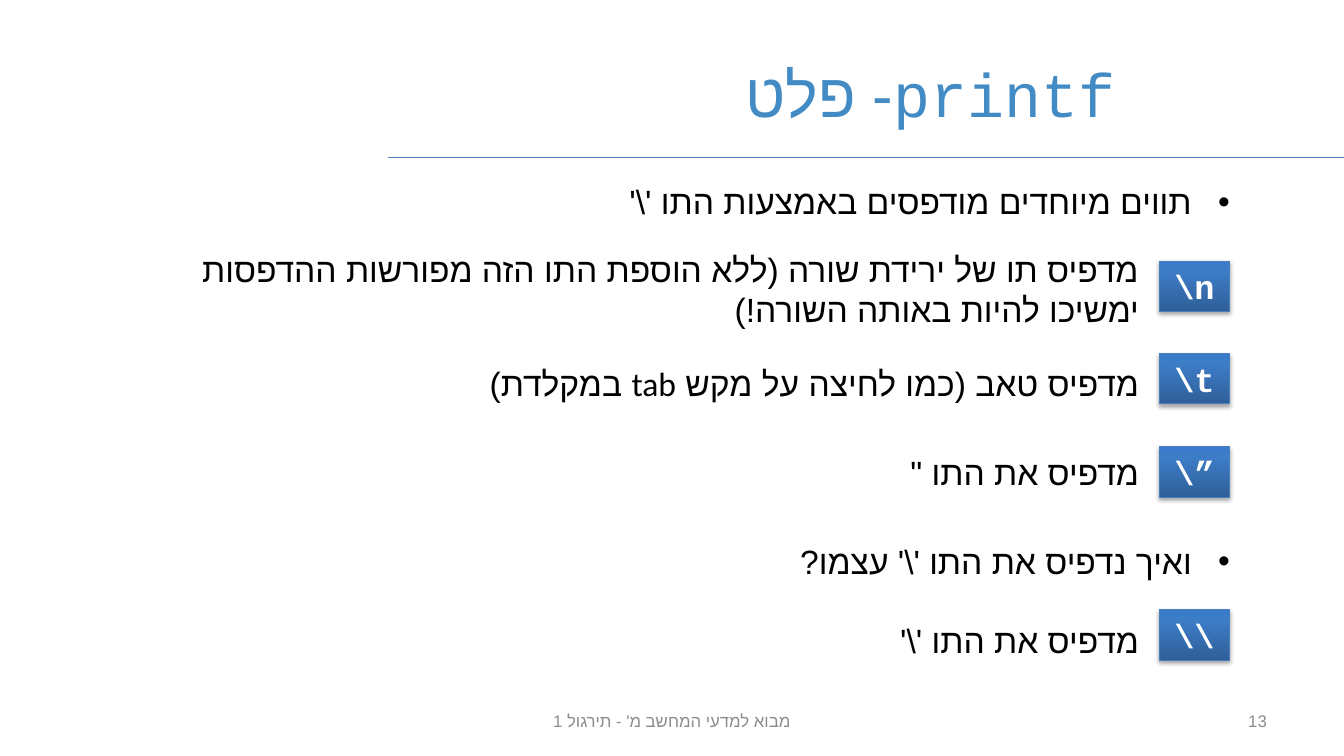
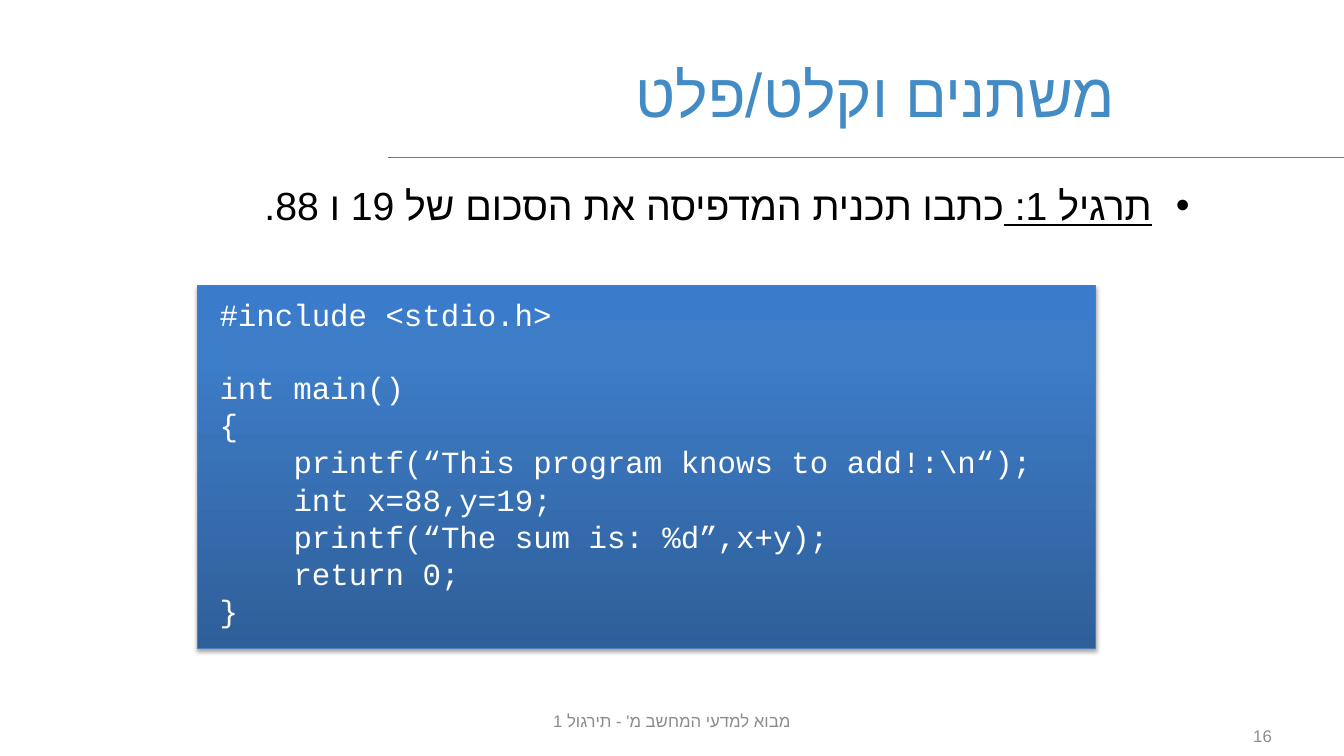
from dataclasses import dataclass

from lxml import etree
from pptx import Presentation
from pptx.dml.color import RGBColor
from pptx.enum.lang import MSO_LANGUAGE_ID
from pptx.enum.shapes import MSO_CONNECTOR, MSO_SHAPE
from pptx.enum.text import MSO_ANCHOR, PP_ALIGN
from pptx.oxml.ns import qn
from pptx.util import Inches, Pt

LEFT, MID, RIGHT = PP_ALIGN.LEFT, PP_ALIGN.CENTER, PP_ALIGN.RIGHT
TOP, CENTRE = MSO_ANCHOR.TOP, MSO_ANCHOR.MIDDLE
RECT, LINE = MSO_SHAPE.RECTANGLE, MSO_CONNECTOR.STRAIGHT
HEBREW = MSO_LANGUAGE_ID.HEBREW

# Grid: 160 columns by 90 rows, square cells
COLS, ROWS = 160, 90
CELL = Inches(7.5) / ROWS

# Shared look
SKY, EDGE, GREY, BLACK, WHITE = "438BC4", "4B7EBC", "8C8C8C", "000000", "FFFFFF"
STOPS = ((0, "2F5F99"), (80, "3D7CC7"), (100, "3A7CCB"))
SANS, PLAIN, MONO = "Arial", "Calibri", "Courier New"
HANG = 4.5
GAP = 0.25  # space before, as a share of the text size
STEP = 8.8  # one code indent: four characters
FOOT = "מבוא למדעי המחשב מ' - תירגול 1"


@dataclass
class Box:
    x: float
    y: float
    w: float
    h: float


@dataclass
class Run:
    text: str
    font: str = PLAIN
    under: bool = False


@dataclass
class Code:
    text: str
    level: int = 0
    skip: int = 0


@dataclass
class Key:
    mark: str
    row: float
    text: str
    top: float
    wide: float
    high: float = 5.9


BADGE = Box(138, 0, 8.4, 6)
NOTE_END = 136.8
KEYS = (
    Key("\\n", 31.1, "מדפיס תו של ירידת שורה (ללא הוספת התו הזה מפורשות "
        "ההדפסות ימשיכו להיות באותה השורה!)", 29, 121.4, 11.5),
    Key("\\t", 42.1, "מדפיס טאב (כמו לחיצה על מקש tab במקלדת)", 42.6, 82.1),
    Key("\\”", 53.2, "מדפיס את התו \"", 53.2, 56.8),
    Key("\\\\", 72.6, "מדפיס את התו '\\'", 73.2, 56.8),
)
CODE = (
    Code("#include <stdio.h>"),
    Code("int main()", skip=1),
    Code("{"),
    Code("printf(“This program knows to add!:\\n“);", 1),
    Code("int x=88,y=19;", 1),
    Code("printf(“The sum is: %d”,x+y);", 1),
    Code("return 0;", 1),
    Code("}"),
)


def cells(n: float) -> int:
    return round(n * CELL)


def place(box: Box) -> tuple:
    return cells(box.x), cells(box.y), cells(box.w), cells(box.h)


def tint(code: str) -> RGBColor:
    return RGBColor.from_string(code)


def node(up, tag: str, **attrs):
    return etree.SubElement(up, qn(tag), attrs)


def write(para, runs, size=24, color=BLACK, align=RIGHT, rtl=True,
          bold=False, before=0.0, bullet=False, indent=0.0):
    """Fill one paragraph with formatted runs."""
    para.alignment = align
    para.space_before = Pt(before)
    props = para._p.get_or_add_pPr()
    if rtl:
        props.set("rtl", "1")
    if bullet:
        props.set("marR", "0")
        props.set("marL", str(cells(HANG)))
        props.set("indent", str(-cells(HANG)))
        node(props, "a:buFont", typeface=SANS)
        node(props, "a:buChar", char="•")
    elif indent:
        props.set("marL", str(cells(indent)))
    for item in runs:
        run = para.add_run()
        run.text = item.text
        font = run.font
        font.name, font.size, font.bold = item.font, Pt(size), bold
        font.underline = item.under
        font.color.rgb = tint(color)
        face = item.font
        if rtl:
            font.language_id = HEBREW
            face = MONO if item.font == MONO else SANS
        node(font._element, "a:cs", typeface=face)


def label(slide, box: Box, runs, anchor=TOP, **fmt):
    frame = slide.shapes.add_textbox(*place(box)).text_frame
    frame.word_wrap = True
    frame.vertical_anchor = anchor
    write(frame.paragraphs[0], runs, **fmt)


def panel(slide, box: Box):
    """Draw a shaded blue box and return its text frame."""
    shape = slide.shapes.add_shape(RECT, *place(box))
    shape.shadow.inherit = False
    shape.fill.gradient()
    shape.fill.gradient_angle = 90
    stops = shape._element.spPr.find(".//" + qn("a:gsLst"))
    for old in list(stops):
        stops.remove(old)
    for pos, code in STOPS:
        node(node(stops, "a:gs", pos=str(pos * 1000)), "a:srgbClr", val=code)
    shape.line.color.rgb = tint(EDGE)
    shape.line.width = Pt(0.75)
    glow = node(shape._element.spPr.find(qn("a:effectLst")), "a:outerShdw",
                blurRad=str(Pt(3.1)), dist=str(Pt(1.8)), dir="5400000",
                rotWithShape="0")
    node(node(glow, "a:srgbClr", val=BLACK), "a:alpha", val="35000")
    frame = shape.text_frame
    frame.word_wrap = True
    frame.vertical_anchor = TOP
    return frame


def rule(slide, start: float, end: float, row: float = 18.7):
    line = slide.shapes.add_connector(
        LINE, cells(start), cells(row), cells(end), cells(row))
    line.line.color.rgb = tint(EDGE)
    line.line.width = Pt(0.75)
    node(line._element.spPr, "a:effectLst")


def point(slide, box: Box, runs, size: int = 24):
    label(slide, box, runs, size=size, before=size * GAP, bullet=True)


def base(deck, title, page: str, spot: Box):
    """Start a slide with its title, rules, footer and page number."""
    slide = deck.slides.add_slide(deck.slide_layouts[6])
    rule(slide, COLS, 46.2)
    rule(slide, 140, 54.7)
    label(slide, Box(48.1, 3.6, 85.9, 15), title, CENTRE, size=44, color=SKY)
    label(slide, spot, [Run(page)], CENTRE, size=12, color=GREY)
    label(slide, Box(54.7, 83.4, 50.6, 4.8), [Run(FOOT)], CENTRE,
          size=12, color=GREY, align=MID)
    return slide


def escapes(deck):
    slide = base(deck, [Run("printf", MONO), Run("- פלט", SANS)], "13",
                 Box(114.7, 83.4, 37.3, 4.8))
    for row, text in ((21, "תווים מיוחדים מודפסים באמצעות התו '\\'"),
                      (63.8, "ואיך נדפיס את התו '\\' עצמו?")):
        point(slide, Box(26.2, row, 121.4, 6.4), [Run(text)])
    for key in KEYS:
        frame = panel(slide, Box(BADGE.x, key.row, BADGE.w, BADGE.h))
        write(frame.paragraphs[0], [Run(key.mark, MONO)], color=WHITE,
              align=MID, rtl=False, bold=True)
        label(slide, Box(NOTE_END - key.wide, key.top, key.wide, key.high),
              [Run(key.text)], before=24 * GAP)


def task(deck):
    slide = base(deck, [Run("משתנים וקלט/פלט", SANS)], "16",
                 Box(115.3, 85.2, 37.3, 4.8))
    point(slide, Box(25.7, 21, 117.1, 23.4),
          [Run("תרגיל 1: ", under=True),
           Run("כתבו תכנית המדפיסה את הסכום של 19 ו 88.")], size=28)
    frame = panel(slide, Box(23.5, 34, 106.9, 43.2))
    frame.margin_left = frame.margin_right = Inches(0.22)
    frame.margin_top = frame.margin_bottom = Inches(0.17)
    size, pitch = 22, 25.5
    for i, row in enumerate(CODE):
        para = frame.add_paragraph() if i else frame.paragraphs[0]
        para.line_spacing = 0.8
        write(para, [Run(row.text, MONO)], size=size, color=WHITE, align=LEFT,
              rtl=False, before=size * GAP + row.skip * pitch,
              indent=row.level * STEP)


deck = Presentation()
deck.slide_width, deck.slide_height = cells(COLS), cells(ROWS)
escapes(deck)
task(deck)
deck.save("out.pptx")
